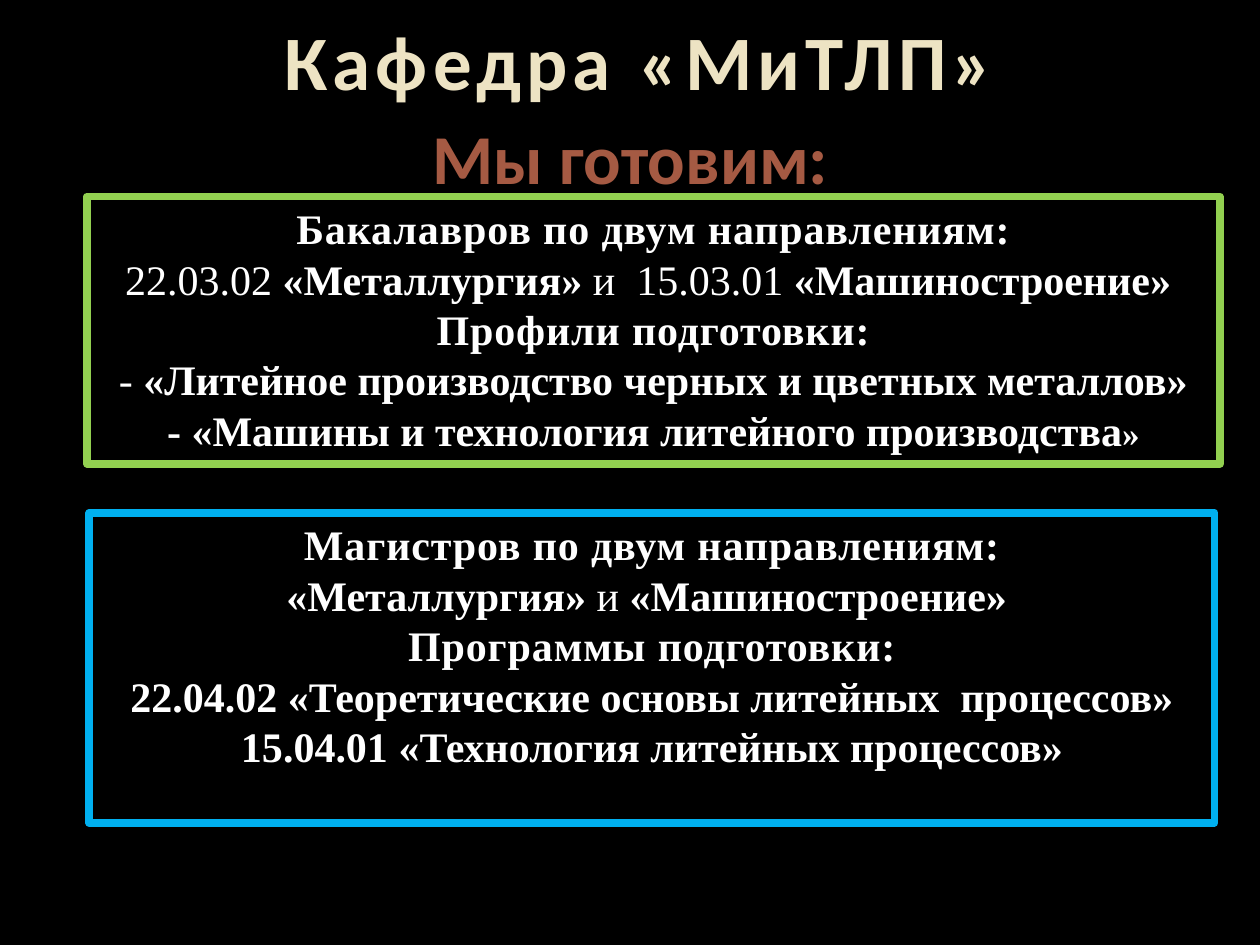
from dataclasses import dataclass

from lxml.etree import SubElement
from pptx import Presentation
from pptx.dml.color import RGBColor
from pptx.enum.shapes import MSO_SHAPE
from pptx.enum.text import MSO_ANCHOR, PP_ALIGN
from pptx.oxml.ns import qn
from pptx.util import Inches, Pt

BLACK = RGBColor(0x00, 0x00, 0x00)
WHITE = RGBColor(0xFF, 0xFF, 0xFF)
OFF_WHITE = RGBColor(0xFE, 0xFE, 0xFE)
CREAM = RGBColor(0xED, 0xE3, 0xC3)
GOLD = RGBColor(0xD3, 0xBA, 0x68)
RUST = RGBColor(0xBC, 0x45, 0x1B)
BRICK = RGBColor(0xA5, 0x5A, 0x43)
GREEN = RGBColor(0x92, 0xD0, 0x50)
BLUE = RGBColor(0x00, 0xB0, 0xF0)


@dataclass
class Span:
    text: str
    bold: bool = True
    size: int = 24


@dataclass
class Line:
    spans: list[Span]
    heading: bool = False


@dataclass
class Panel:
    left: float
    top: float
    width: float
    height: float
    border: RGBColor
    lines: list[Line]


def heading(text: str) -> Line:
    return Line([Span(text)], heading=True)


PANELS = [
    Panel(0.69, 1.56, 8.99, 2.12, GREEN, [
        heading("Бакалавров по двум направлениям:"),
        Line([Span("22.03.02 ", bold=False), Span("«Металлургия»"),
              Span(" и  15.03.01 ", bold=False), Span("«Машиностроение» ")]),
        heading("Профили подготовки:"),
        Line([Span("- ", bold=False),
              Span("«Литейное производство черных и цветных металлов»")]),
        Line([Span("- «Машины и технология литейного производства"),
              Span("»", size=20)]),
    ]),
    Panel(0.71, 4.07, 8.93, 2.46, BLUE, [
        heading("Магистров по двум направлениям:"),
        Line([Span("«Металлургия»"), Span(" и ", bold=False),
              Span("«Машиностроение» ")]),
        heading("Программы подготовки:"),
        Line([Span("22.04.02 «Теоретические основы литейных  процессов»")]),
        Line([Span("15.04.01 «Технология литейных процессов»")]),
    ]),
]


def decorate(run, color: RGBColor, width: float, spacing: float = 0) -> None:
    """Outline the letters of a run and widen the gaps between them."""
    properties = run._r.get_or_add_rPr()
    if spacing:
        properties.set("spc", str(int(spacing * 100)))
    outline = SubElement(properties, qn("a:ln"), w=str(Pt(width)))
    fill = SubElement(outline, qn("a:solidFill"))
    SubElement(fill, qn("a:srgbClr"), val=str(color))
    properties.insert(0, outline)


def add_span(para, span: Span, font_name: str, color: RGBColor):
    run = para.add_run()
    run.text = span.text
    run.font.name, run.font.size = font_name, Pt(span.size)
    run.font.bold = span.bold
    run.font.color.rgb = color
    return run


def prepare(frame):
    """Wrap the text from the top and return the centred first paragraph."""
    frame.word_wrap = True
    frame.vertical_anchor = MSO_ANCHOR.TOP
    frame.paragraphs[0].alignment = PP_ALIGN.CENTER
    return frame.paragraphs[0]


def draw_panel(page, panel: Panel) -> None:
    box = page.shapes.add_shape(
        MSO_SHAPE.RECTANGLE, Inches(panel.left), Inches(panel.top),
        Inches(panel.width), Inches(panel.height))
    box.shadow.inherit = False
    box.fill.background()
    box.line.color.rgb = panel.border
    box.line.width = Pt(4.5)
    frame = box.text_frame
    para = prepare(frame)
    for index, line in enumerate(panel.lines):
        if index:
            para = frame.add_paragraph()
            para.alignment = PP_ALIGN.CENTER
        for span in line.spans:
            run = add_span(para, span, "Times New Roman",
                           OFF_WHITE if line.heading else WHITE)
            if line.heading:
                decorate(run, RUST, 0.75, spacing=0.5)


def main() -> None:
    deck = Presentation()
    deck.slide_width, deck.slide_height = Inches(10), Inches(7.5)
    page = deck.slides.add_slide(deck.slide_layouts[5])
    page.background.fill.solid()
    page.background.fill.fore_color.rgb = BLACK

    # Title
    title = page.shapes.title
    title.left, title.top = 0, 0
    title.width, title.height = deck.slide_width, Inches(0.91)
    para = prepare(title.text_frame)
    for span, spacing in ((Span(" ", size=48), 0),
                          (Span("Кафедра «МиТЛП»", size=44), 3)):
        decorate(add_span(para, span, "Calibri", CREAM), GOLD, 1.75, spacing)

    # Subtitle
    subtitle = page.shapes.add_textbox(
        Inches(2.97), Inches(0.86), Inches(4.07), Inches(0.62))
    para = prepare(subtitle.text_frame)
    run = add_span(para, Span("Мы готовим:", size=40), "Calibri", BRICK)
    decorate(run, BLACK, 0.75)

    # Degree panels
    for panel in PANELS:
        draw_panel(page, panel)

    deck.save("out.pptx")


if __name__ == "__main__":
    main()
